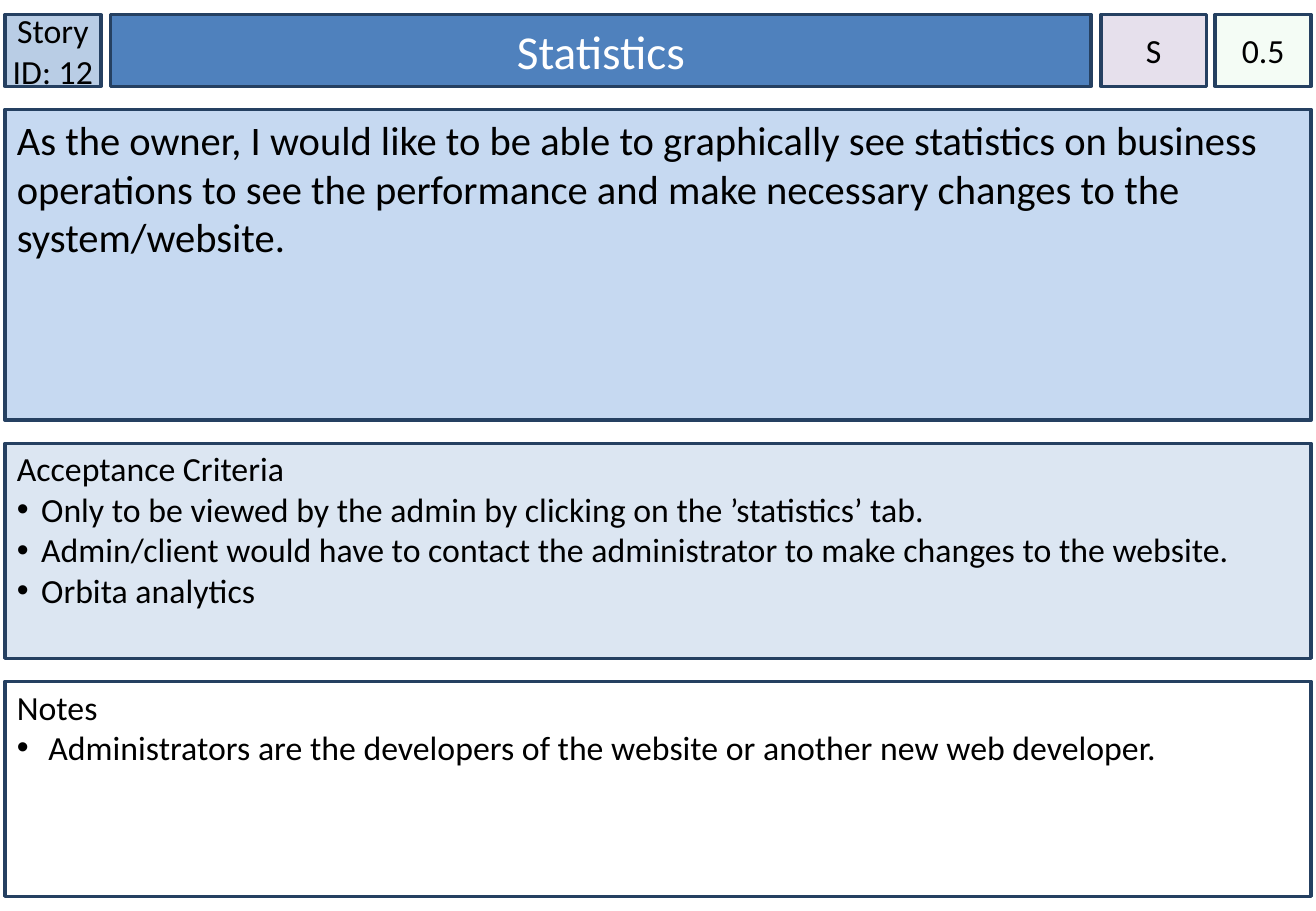
from dataclasses import dataclass

from lxml import etree
from pptx import Presentation
from pptx.dml.color import RGBColor
from pptx.enum.shapes import MSO_SHAPE
from pptx.enum.text import MSO_ANCHOR, PP_ALIGN
from pptx.oxml.ns import qn
from pptx.util import Inches, Pt

RECTANGLE = MSO_SHAPE.RECTANGLE
TOP, MIDDLE = MSO_ANCHOR.TOP, MSO_ANCHOR.MIDDLE
LEFT, CENTER = PP_ALIGN.LEFT, PP_ALIGN.CENTER

FONT = "Calibri"
COLORS = {
    "border": "254061",
    "text": "000000",
    "title_text": "FFFFFF",
    "story_id": "B9CDE5",
    "title": "4F81BD",
    "size": "E6E0EC",
    "estimate": "CCF0CD",
    "story": "C6D9F1",
    "criteria": "DCE6F2",
    "notes": "FFFFFF",
}

# Card layout, in inches
MARGIN = 0.04
CARD_WIDTH = 10.75
HEADER_TOP, HEADER_HEIGHT = 0.12, 0.59
STORY_TOP, STORY_HEIGHT = 0.9, 2.56
DETAIL_HEIGHT = 1.77
PANEL_GAP = 0.19
CRITERIA_TOP = STORY_TOP + STORY_HEIGHT + PANEL_GAP
NOTES_TOP = CRITERIA_TOP + DETAIL_HEIGHT + PANEL_GAP


@dataclass(frozen=True)
class HeaderCell:
    text: str
    left: float
    width: float
    fill: str
    size: int = 20
    color: str = "text"
    side_inset: float = 0
    opacity: int = 100
    wrap: bool = True


@dataclass(frozen=True)
class Panel:
    heading: str
    top: float
    height: float
    fill: str
    size: int = 20
    top_inset: float = 0.04
    bullets: tuple[str, ...] = ()
    hanging: float = 0.2


HEADER = [
    HeaderCell("Story ID: 12", MARGIN, 0.79, "story_id"),
    HeaderCell("Statistics", 0.91, 8.07, "title", size=28,
               color="title_text", side_inset=0.1),
    HeaderCell("S", 9.06, 0.87, "size", wrap=False),
    HeaderCell("0.5", 10, 0.79, "estimate", opacity=20),
]

PANELS = [
    Panel("As the owner, I would like to be able to graphically see statistics "
          "on business operations to see the performance and make necessary "
          "changes to the system/website.",
          STORY_TOP, STORY_HEIGHT, "story", size=24, top_inset=0.05),
    Panel("Acceptance Criteria", CRITERIA_TOP, DETAIL_HEIGHT, "criteria", bullets=(
        "Only to be viewed by the admin by clicking on the ’statistics’ tab.",
        "Admin/client would have to contact the administrator to make changes "
        "to the website.",
        "Orbita analytics",
    )),
    Panel("Notes", NOTES_TOP, DETAIL_HEIGHT, "notes", hanging=0.26, bullets=(
        "Administrators are the developers of the website or another new web "
        "developer.",
    )),
]


def rgb(name: str) -> RGBColor:
    return RGBColor.from_string(COLORS[name])


def add_box(left: float, top: float, width: float, height: float,
            fill: str, opacity: int = 100):
    box = slide.shapes.add_shape(
        RECTANGLE, Inches(left), Inches(top), Inches(width), Inches(height))
    box.shadow.inherit = False
    box.fill.solid()
    box.fill.fore_color.rgb = rgb(fill)
    box.line.color.rgb = rgb("border")
    box.line.width = Pt(2)
    if opacity < 100:
        fill_color = box.fill._xPr.find(qn("a:solidFill"))[0]
        etree.SubElement(fill_color, qn("a:alpha"), val=str(opacity * 1000))
    return box


def set_frame(box, anchor, side: float, top: float = 0.05, wrap: bool = True) -> None:
    frame = box.text_frame
    frame.word_wrap = wrap
    frame.vertical_anchor = anchor
    frame.margin_left = frame.margin_right = Inches(side)
    frame.margin_top, frame.margin_bottom = Inches(top), Inches(0.05)


def write(paragraph, text: str, *, size: int = 20, color: str = "text",
          align=LEFT, hanging: float = 0) -> None:
    paragraph.alignment = align
    run = paragraph.add_run()
    run.text = text
    run.font.name = FONT
    run.font.size = Pt(size)
    run.font.color.rgb = rgb(color)
    if hanging:
        properties = paragraph._p.get_or_add_pPr()
        properties.set("marL", str(Inches(hanging)))
        properties.set("indent", str(-Inches(hanging)))
        etree.SubElement(properties, qn("a:buFont"), typeface="Arial")
        etree.SubElement(properties, qn("a:buChar"), char="•")


def draw_header_cell(cell: HeaderCell) -> None:
    box = add_box(cell.left, HEADER_TOP, cell.width, HEADER_HEIGHT,
                  cell.fill, cell.opacity)
    set_frame(box, MIDDLE, cell.side_inset, wrap=cell.wrap)
    write(box.text_frame.paragraphs[0], cell.text, size=cell.size,
          color=cell.color, align=CENTER)


def draw_panel(panel: Panel) -> None:
    box = add_box(MARGIN, panel.top, CARD_WIDTH, panel.height, panel.fill)
    set_frame(box, TOP, 0.1, panel.top_inset)
    write(box.text_frame.paragraphs[0], panel.heading, size=panel.size)
    for bullet in panel.bullets:
        write(box.text_frame.add_paragraph(), bullet, size=panel.size,
              hanging=panel.hanging)


presentation = Presentation()
presentation.slide_width = Inches(10.83)
presentation.slide_height = Inches(7.5)
slide = presentation.slides.add_slide(presentation.slide_layouts[6])

# Header row: story ID, title, size and estimate
for header_cell in HEADER:
    draw_header_cell(header_cell)

# Story, acceptance criteria and notes
for story_panel in PANELS:
    draw_panel(story_panel)

presentation.save("out.pptx")
